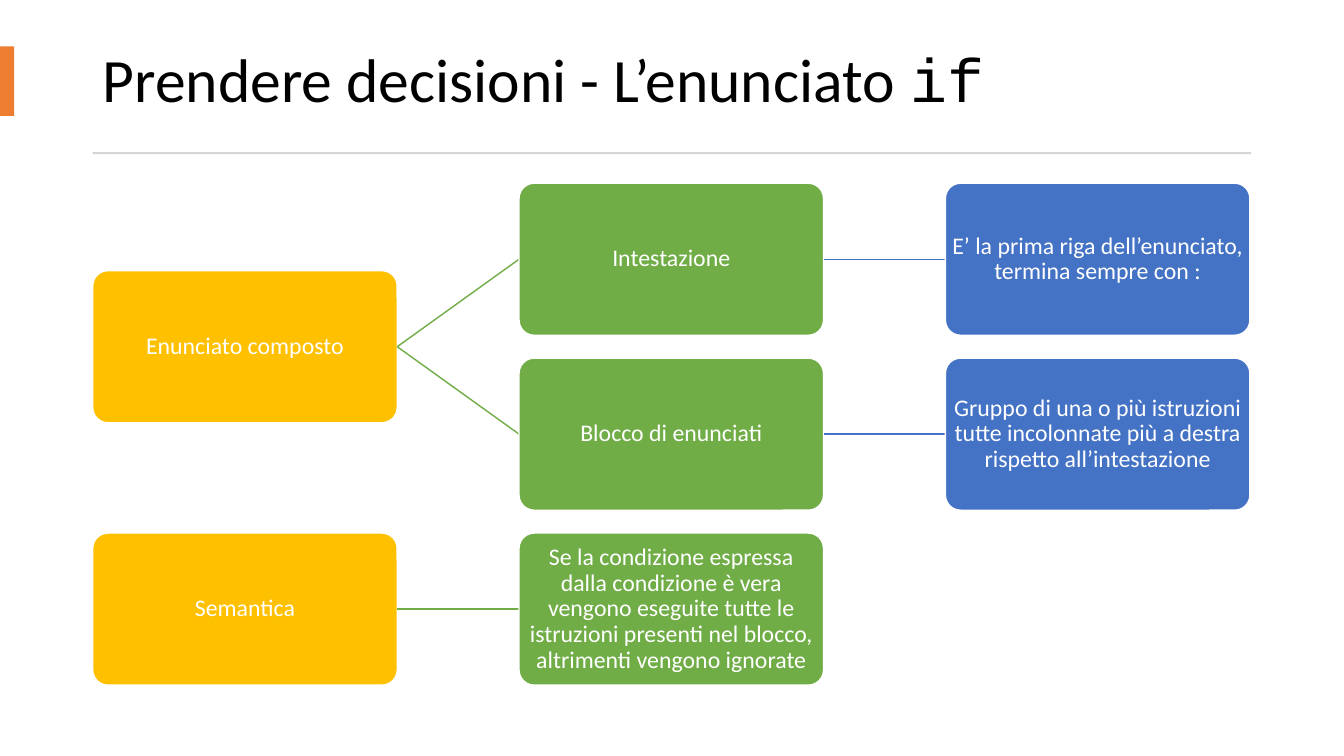
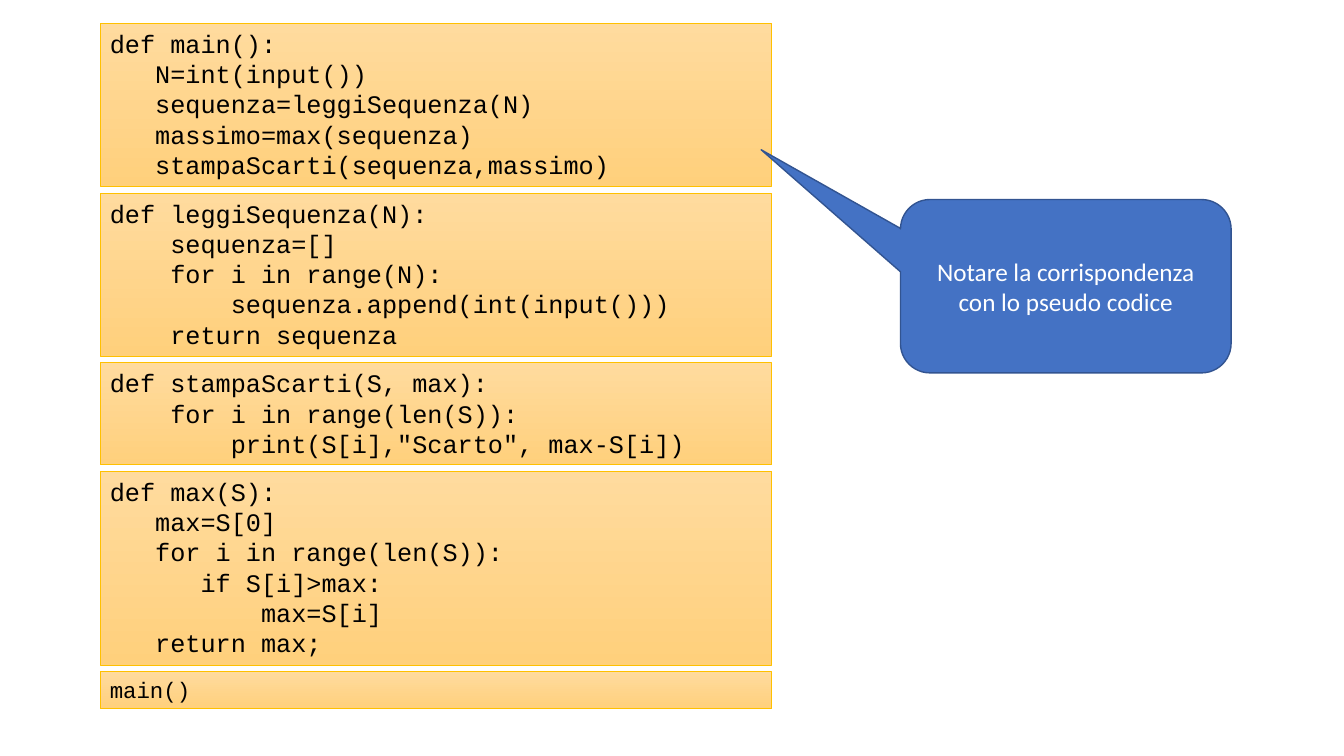
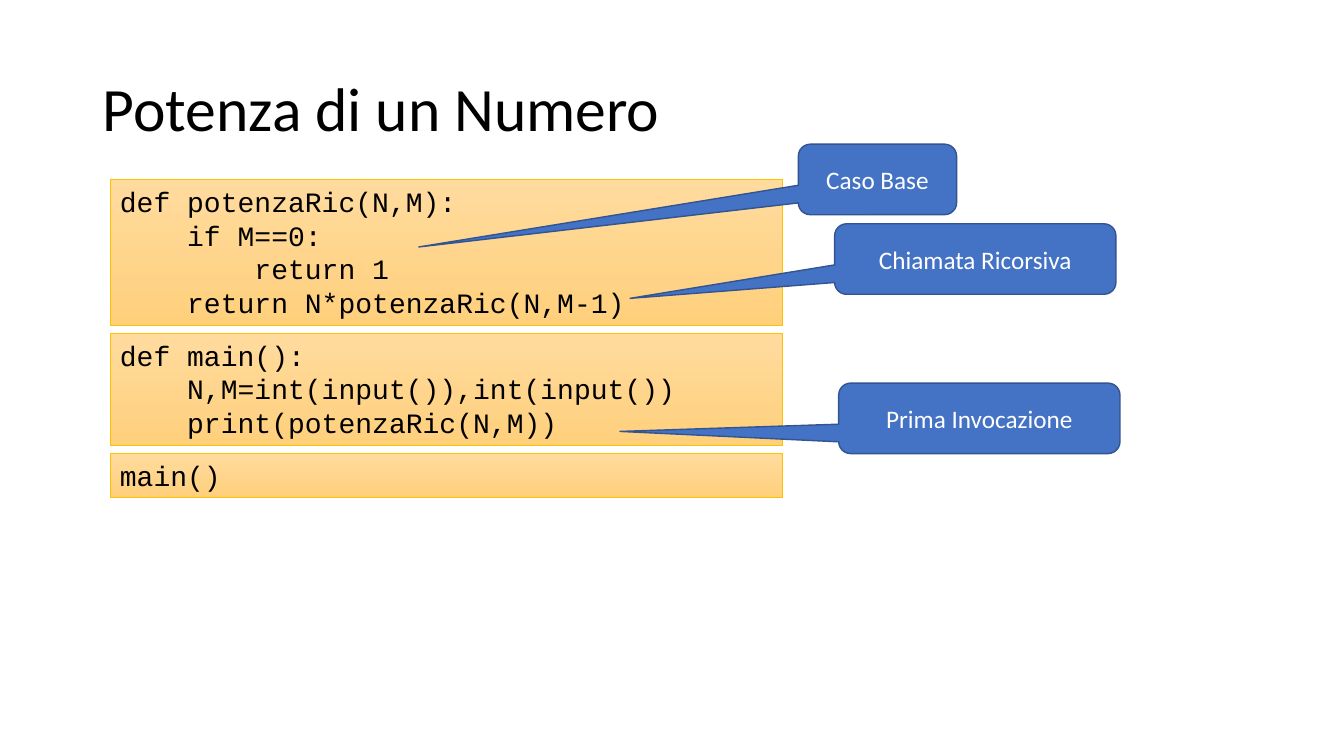
import dataclasses

import pptx
import pptx.dml.color
import pptx.enum.shapes
import pptx.enum.text
import pptx.oxml.ns
import pptx.util
from lxml import etree

RGBColor = pptx.dml.color.RGBColor
Shapes = pptx.enum.shapes.MSO_SHAPE
Anchor = pptx.enum.text.MSO_ANCHOR
Align = pptx.enum.text.PP_ALIGN

BLACK = RGBColor(0x00, 0x00, 0x00)
WHITE = RGBColor(0xFF, 0xFF, 0xFF)
ORANGE = RGBColor(0xED, 0x7D, 0x31)
GREY = RGBColor(0xD5, 0xD5, 0xD5)
GOLD = RGBColor(0xFF, 0xC0, 0x00)
GREEN = RGBColor(0x70, 0xAD, 0x47)
BLUE = RGBColor(0x44, 0x72, 0xC4)
DARK_BLUE = RGBColor(0x32, 0x54, 0x91)
CODE_TOP = RGBColor(0xFF, 0xDB, 0x9E)
CODE_BOTTOM = RGBColor(0xFF, 0xD0, 0x7C)

BODY_FONT = "Calibri"
CODE_FONT = "Courier New"
SLIDE_WIDTH = pptx.util.Inches(13.33)
SLIDE_HEIGHT = pptx.util.Inches(7.5)
LINE_SPACING = 0.9

# Tree cells: (column, row, colour, text, parent cell); rows may be halves
TREE = [
    (0, 0.5, GOLD, "Enunciato composto", None),
    (1, 0, GREEN, "Intestazione", (0, 0.5)),
    (2, 0, BLUE, "E’ la prima riga dell’enunciato, termina sempre con :", (1, 0)),
    (1, 1, GREEN, "Blocco di enunciati", (0, 0.5)),
    (2, 1, BLUE, "Gruppo di una o più istruzioni tutte incolonnate "
                 "più a destra rispetto all’intestazione", (1, 1)),
    (0, 2, GOLD, "Semantica", None),
    (1, 2, GREEN, "Se la condizione espressa dalla condizione è vera vengono "
                  "eseguite tutte le istruzioni presenti nel blocco, "
                  "altrimenti vengono ignorate", (0, 2)),
]

# Code blocks: (text size, code)
SEQUENCE_CODE = [
    (18, """def main():
   N=int(input())
   sequenza=leggiSequenza(N)
   massimo=max(sequenza)
   stampaScarti(sequenza,massimo)"""),
    (18, """def leggiSequenza(N):
    sequenza=[]
    for i in range(N):
        sequenza.append(int(input()))
    return sequenza"""),
    (18, """def stampaScarti(S, max):
    for i in range(len(S)):
        print(S[i],"Scarto", max-S[i])"""),
    (18, """def max(S):
   max=S[0]
   for i in range(len(S)):
      if S[i]>max:
          max=S[i]
   return max;"""),
    (16, "main()"),
]
POWER_CODE = [
    (20, """def potenzaRic(N,M):
    if M==0:
        return 1
    return N*potenzaRic(N,M-1)"""),
    (20, """def main():
    N,M=int(input()),int(input())
    print(potenzaRic(N,M))"""),
    (20, "main()"),
]


@dataclasses.dataclass
class Box:
    left: int
    top: int
    width: int
    height: int

    def frame(self):
        return self.left, self.top, self.width, self.height


def across(percent):
    return round(SLIDE_WIDTH * percent / 100)


def down(percent):
    return round(SLIDE_HEIGHT * percent / 100)


def area(left, top, width, height):
    """A box given in percent of the slide's size."""
    return Box(across(left), down(top), across(width), down(height))


def add_block(page, kind, box, fill=None, line=None, line_width=1):
    shape = page.shapes.add_shape(kind, *box.frame())
    shape.shadow.inherit = False
    if fill is not None:
        shape.fill.solid()
        shape.fill.fore_color.rgb = fill
    if line is None:
        shape.line.fill.background()
    else:
        shape.line.color.rgb = line
        shape.line.width = pptx.util.Pt(line_width)
    return shape


def write(shape, text, size, color, font=BODY_FONT, align=Align.CENTER,
          anchor=Anchor.MIDDLE, spacing=None):
    frame = shape.text_frame
    frame.word_wrap = True
    frame.vertical_anchor = anchor
    frame.text = text
    for para in frame.paragraphs:
        para.alignment = align
        para.line_spacing = spacing
        for span in para.runs:
            span.font.name = font
            span.font.size = pptx.util.Pt(size)
            span.font.color.rgb = color
    return frame


def add_title(page, box, text, code=""):
    frame = write(page.shapes.add_textbox(*box.frame()), text, 44, BLACK,
                  align=Align.LEFT, spacing=LINE_SPACING)
    if code:
        span = frame.paragraphs[0].add_run()
        span.text = code
        span.font.name = CODE_FONT
        span.font.size = pptx.util.Pt(44)
        span.font.color.rgb = BLACK


def add_branch(page, start, end, color):
    branch = page.shapes.add_connector(
        pptx.enum.shapes.MSO_CONNECTOR.STRAIGHT, *start, *end)
    branch.line.color.rgb = color
    branch.line.width = pptx.util.Pt(1)
    etree.SubElement(branch._element.spPr, pptx.oxml.ns.qn("a:effectLst"))


def add_tree(page, box, cells):
    # Three columns with gaps of 0.4 cell, three rows with gaps of 0.15 cell
    cell_width = round(box.width / 3.8)
    cell_height = round(box.height / 3.3)

    def cell_box(column, row):
        return Box(round(box.left + column * 1.4 * cell_width),
                   round(box.top + row * 1.15 * cell_height),
                   cell_width, cell_height)

    for column, row, color, text, parent in cells:
        place = cell_box(column, row)
        if parent:
            origin = cell_box(*parent)
            add_branch(page,
                       (origin.left + cell_width, origin.top + cell_height // 2),
                       (place.left, place.top + cell_height // 2), color)
        cell = add_block(page, Shapes.ROUNDED_RECTANGLE, place, color, WHITE)
        cell.adjustments[0] = 0.1
        frame = write(cell, text, 17, WHITE, spacing=LINE_SPACING)
        frame.margin_left = frame.margin_right = pptx.util.Inches(0.01)
        frame.margin_top = frame.margin_bottom = pptx.util.Inches(0.01)


def add_code_column(page, left, top, width, gap, blocks):
    """Stack code blocks, each as tall as its lines."""
    for size, code in blocks:
        lines = code.count("\n") + 1
        height = pptx.util.Inches(0.1) + round(lines * pptx.util.Pt(size) * 1.215)
        block = add_block(page, Shapes.RECTANGLE, Box(left, top, width, height),
                          line=GOLD, line_width=0.5)
        block.fill.gradient()
        block.fill.gradient_angle = 270
        for stop, color in zip(block.fill.gradient_stops, (CODE_TOP, CODE_BOTTOM)):
            stop.color.rgb = color
        frame = write(block, code, size, BLACK, CODE_FONT, Align.LEFT, Anchor.TOP)
        frame.auto_size = pptx.enum.text.MSO_AUTO_SIZE.SHAPE_TO_FIT_TEXT
        top += height + gap


def add_callout(page, box, tip_left, tip_top, text):
    """A callout whose tail ends at the given point."""
    callout = add_block(page, Shapes.ROUNDED_RECTANGULAR_CALLOUT, box, BLUE, DARK_BLUE)
    callout.adjustments[0] = (tip_left - box.left) / box.width - 0.5
    callout.adjustments[1] = (tip_top - box.top) / box.height - 0.5
    callout.adjustments[2] = 0.17
    write(callout, text, 18, WHITE)


def build_if_slide(page):
    add_title(page, area(6.9, 3.6, 86.2, 14.7),
              "Prendere decisioni - L’enunciato ", "if")
    # Accent tab and rule under the title
    add_block(page, Shapes.RECTANGLE, area(0, 6.13, 1.05, 9.2), ORANGE)
    add_block(page, Shapes.RECTANGLE, area(6.9, 20.13, 86.2, 0.27), GREY)
    add_tree(page, area(6.9, 24.23, 86.1, 66.4), TREE)


def build_sequence_slide(page):
    add_code_column(page, across(7.43), down(3.07), across(50), down(0.87),
                    SEQUENCE_CODE)
    add_callout(page, area(67, 26.4, 24.6, 22.93), across(56.63), down(19.81),
                "Notare la corrispondenza con lo pseudo codice")


def build_power_slide(page):
    add_title(page, area(6.9, 5.07, 86.2, 19.33), "Potenza di un Numero")
    add_code_column(page, across(8.18), down(23.73), across(50), down(1.04),
                    POWER_CODE)
    for left, top, width, tip_left, tip_top, text in [
        (59.4, 19.07, 11.78, 31.16, 32.67, "Caso Base"),
        (62.1, 29.6, 20.93, 46.88, 39.47, "Chiamata Ricorsiva"),
        (62.4, 50.67, 20.93, 46.13, 57.07, "Prima Invocazione"),
    ]:
        add_callout(page, area(left, top, width, 9.33),
                    across(tip_left), down(tip_top), text)


def main():
    deck = pptx.Presentation()
    deck.slide_width = SLIDE_WIDTH
    deck.slide_height = SLIDE_HEIGHT
    blank = deck.slide_layouts[6]
    for build in (build_if_slide, build_sequence_slide, build_power_slide):
        build(deck.slides.add_slide(blank))
    deck.save("out.pptx")


if __name__ == "__main__":
    main()
